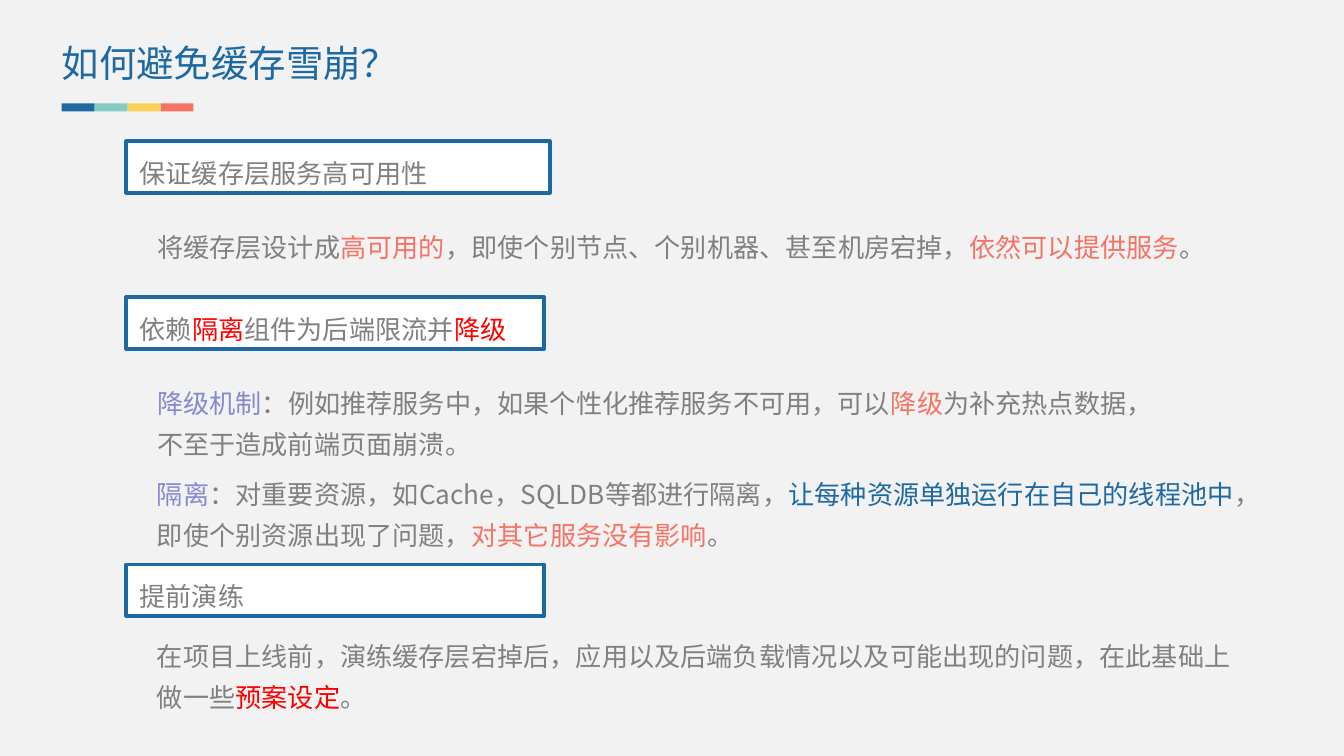
"""Build a slide on how to avoid a cache avalanche."""
from lxml import etree
from pptx import Presentation
from pptx.dml.color import RGBColor
from pptx.enum.shapes import MSO_SHAPE
from pptx.enum.text import MSO_ANCHOR, MSO_AUTO_SIZE, PP_ALIGN
from pptx.oxml.ns import qn
from pptx.util import Inches, Pt

RECT = MSO_SHAPE.RECTANGLE
TOP = MSO_ANCHOR.TOP
LEFT = PP_ALIGN.LEFT
GROW = MSO_AUTO_SIZE.SHAPE_TO_FIT_TEXT

THEME = {
    "font": "Noto Sans CJK SC",
    "title_size": 20, "body_size": 14, "leading": 22, "border": 2,
    "back": "F2F2F2", "white": "FFFFFF", "gray": "808080", "blue": "1D69A3",
    "teal": "84CBC3", "yellow": "F8D158", "coral": "F57365",
    "violet": "8689D0", "red": "FF0000",
}

TITLE = [("如何避免缓存雪崩？", "blue")]
STRIPES = ["blue", "teal", "yellow", "coral"]
HEADINGS = [
    (1.05, 3.15, [("保证缓存层服务高可用性", "gray")]),
    (2.21, 3.11, [("依赖", "gray"), ("隔离", "red"),
                  ("组件为后端限流并", "gray"), ("降级", "red")]),
    (4.2, 3.11, [("提前演练", "gray")]),
]
DETAILS = [
    (1.6, 8.02, 1, [
        ("将缓存层设计成", "gray"), ("高可用的", "coral"),
        ("，即使个别节点、个别机器、甚至机房宕掉，", "gray"),
        ("依然可以提供服务", "coral"), ("。", "gray")]),
    (2.76, 7.79, 2, [
        ("降级机制", "violet"),
        ("：例如推荐服务中，如果个性化推荐服务不可用，可以", "gray"),
        ("降级", "coral"),
        ("为补充热点数据，不至于造成前端页面崩溃。", "gray")]),
    (3.44, 8.26, 2, [
        ("隔离", "violet"),
        ("：对重要资源，如Cache，SQLDB等都进行隔离，", "gray"),
        ("让每种资源单独运行在自己的线程池中", "blue"),
        ("，即使个别资源出现了问题，", "gray"),
        ("对其它服务没有影响", "coral"), ("。", "gray")]),
    (4.64, 8.34, 2, [
        ("在项目上线前，演练缓存层宕掉后，应用以及后端负载情况以及可能出现的问题，"
         "在此基础上做一些", "gray"),
        ("预案设定", "red"), ("。", "gray")]),
]

WIDTH = 10
HEIGHT = WIDTH * 9 / 16
MARGIN, HEADING_X, DETAIL_X = 0.46, 0.94, 1.07
STRIPE_Y, STRIPES_W, STRIPE_H = 0.77, 0.98, 0.06
LINE_H = THEME["leading"] / 72
PADDING = 0.08


def color(name):
    """Return a theme colour."""
    return RGBColor.from_string(THEME[name])


def box_height(lines):
    """Return the height of a text box holding the given lines."""
    return lines * LINE_H + PADDING


def write(sp, runs, size, leading=None):
    """Fill a shape with one paragraph of coloured runs."""
    tf = sp.text_frame
    tf.word_wrap = True
    tf.auto_size = GROW
    tf.vertical_anchor = TOP
    p = tf.paragraphs[0]
    p.alignment = LEFT
    if leading:
        p.line_spacing = Pt(leading)
    for text, name in runs:
        r = p.add_run()
        r.text = text
        r.font.size = Pt(size)
        r.font.name = THEME["font"]
        r.font.color.rgb = color(name)
        ea = etree.Element(qn("a:ea"), typeface=THEME["font"])
        r.font._element.find(qn("a:latin")).addnext(ea)


def add_rect(shapes, x, y, w, h, fill, line=None):
    """Add a flat rectangle."""
    sp = shapes.add_shape(RECT, Inches(x), Inches(y), Inches(w), Inches(h))
    sp.shadow.inherit = False
    sp.fill.solid()
    sp.fill.fore_color.rgb = color(fill)
    if line:
        sp.line.color.rgb = color(line)
        sp.line.width = Pt(THEME["border"])
    else:
        sp.line.fill.background()
    return sp


def add_text(slide, x, y, w, h, runs, size, leading=None):
    """Add a wrapped text box."""
    sp = slide.shapes.add_textbox(Inches(x), Inches(y), Inches(w), Inches(h))
    write(sp, runs, size, leading)
    return sp


def main():
    """Lay out the slide and save it."""
    prs = Presentation()
    prs.slide_width, prs.slide_height = Inches(WIDTH), Inches(HEIGHT)
    slide = prs.slides.add_slide(prs.slide_layouts[6])
    slide.background.fill.solid()
    slide.background.fill.fore_color.rgb = color("back")

    title = add_text(slide, MARGIN, 0.3, 3.04, 0.34, TITLE, THEME["title_size"])
    tf = title.text_frame
    tf.margin_left = tf.margin_top = tf.margin_right = tf.margin_bottom = 0

    stripes = slide.shapes.add_group_shape()
    stripe_w = STRIPES_W / len(STRIPES)
    for i, name in enumerate(STRIPES):
        add_rect(stripes.shapes, MARGIN + i * stripe_w, STRIPE_Y,
                 stripe_w, STRIPE_H, name)

    body = THEME["body_size"], THEME["leading"]
    for y, w, runs in HEADINGS:
        sp = add_rect(slide.shapes, HEADING_X, y, w, box_height(1),
                      "white", "blue")
        write(sp, runs, *body)
    for y, w, lines, runs in DETAILS:
        add_text(slide, DETAIL_X, y, w, box_height(lines), runs, *body)

    prs.save("out.pptx")


if __name__ == "__main__":
    main()
